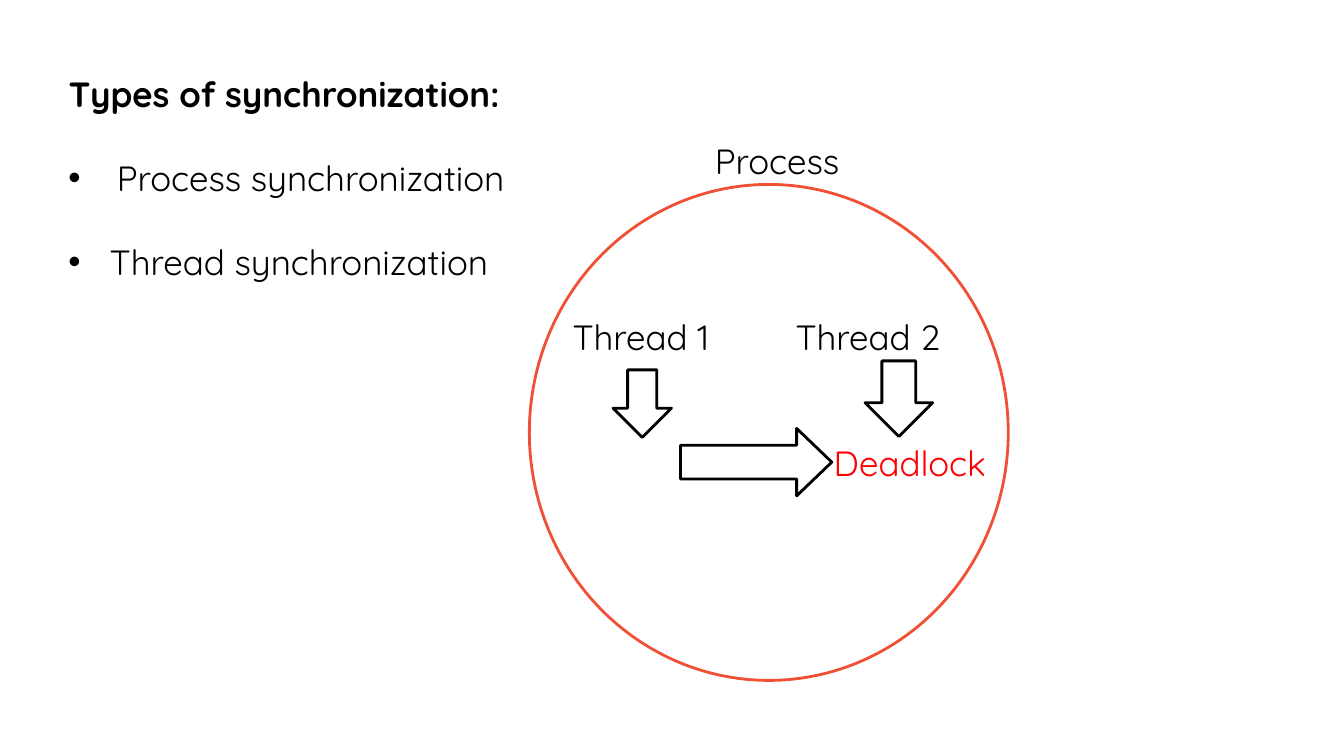
from dataclasses import dataclass

from lxml.etree import SubElement
from pptx import Presentation
from pptx.dml.color import RGBColor
from pptx.enum.shapes import MSO_SHAPE
from pptx.enum.text import MSO_ANCHOR, MSO_AUTO_SIZE, PP_ALIGN
from pptx.oxml.ns import qn
from pptx.slide import Slide
from pptx.text.text import TextFrame, _Paragraph
from pptx.util import Inches, Pt

BLACK = RGBColor(0, 0, 0)
RED = RGBColor(0xFF, 0, 0)
ORANGE = RGBColor(0xF0, 0x51, 0x36)
FONT = "Quicksand"
TEXT_SIZE = Pt(25)
LINE_HEIGHT = 0.52


@dataclass(frozen=True)
class Outline:
    """An unfilled shape, in inches."""
    kind: MSO_SHAPE
    left: float
    top: float
    width: float
    height: float
    color: RGBColor = BLACK


@dataclass(frozen=True)
class Label:
    """A one-line label, in inches."""
    text: str
    left: float
    top: float
    width: float = 2.08
    inset: float = 0.1
    color: RGBColor = BLACK


@dataclass(frozen=True)
class Bullet:
    """A bulleted line with its hanging indent in inches."""
    text: str
    indent: float


TITLE = "Types of synchronization:"
BULLETS = (
    Bullet("Process synchronization", 0.48),
    Bullet("Thread synchronization", 0.41),
)
OUTLINES = (
    Outline(MSO_SHAPE.OVAL, 5.25, 1.83, 4.75, 4.92, ORANGE),
    Outline(MSO_SHAPE.DOWN_ARROW, 6.08, 3.67, 0.58, 0.67),
    Outline(MSO_SHAPE.RIGHT_ARROW, 6.75, 4.25, 1.5, 0.67),
    Outline(MSO_SHAPE.DOWN_ARROW, 8.58, 3.58, 0.67, 0.75),
)
LABELS = (
    Label("Process", 6.25, 1.33, width=3.33, inset=0.84),
    Label("Thread 1", 5.58, 3.08),
    Label("Thread 2", 7.42, 3.08, inset=0.47),
    Label("Deadlock", 8.17, 4.33, color=RED),
)


def style_paragraph(paragraph: _Paragraph, color: RGBColor = BLACK, bold: bool = False) -> None:
    """Apply the slide's common text style."""
    paragraph.alignment = PP_ALIGN.LEFT
    paragraph.font.name = FONT
    paragraph.font.size = TEXT_SIZE
    paragraph.font.bold = bold
    paragraph.font.color.rgb = color


def prepare_frame(frame: TextFrame) -> None:
    """Make a frame wrap and start at its top."""
    frame.word_wrap = True
    frame.auto_size = MSO_AUTO_SIZE.NONE
    frame.vertical_anchor = MSO_ANCHOR.TOP


def add_title(slide: Slide) -> None:
    """Place and format the title."""
    title = slide.shapes.title
    title.left, title.top = Inches(0.58), Inches(0.67)
    title.width, title.height = Inches(12.09), Inches(LINE_HEIGHT)
    prepare_frame(title.text_frame)
    title.text_frame.text = TITLE
    style_paragraph(title.text_frame.paragraphs[0], bold=True)


def add_bullets(slide: Slide) -> None:
    """Add the list of synchronization types."""
    box = slide.shapes.add_textbox(Inches(0.58), Inches(1.5), Inches(12.09), Inches(1.37))
    frame = box.text_frame
    prepare_frame(frame)
    for index, bullet in enumerate(BULLETS):
        paragraph = frame.add_paragraph() if index else frame.paragraphs[0]
        paragraph.text = bullet.text
        if index:
            paragraph.space_before = Pt(30)
        properties = paragraph._p.get_or_add_pPr()
        properties.set("marL", str(Inches(bullet.indent)))
        properties.set("indent", str(-Inches(bullet.indent)))
        SubElement(properties, qn("a:buFont"), typeface="Arial")
        SubElement(properties, qn("a:buChar"), char="•")
        style_paragraph(paragraph)


def add_outline(slide: Slide, outline: Outline) -> None:
    """Add an unfilled shape."""
    shape = slide.shapes.add_shape(
        outline.kind, Inches(outline.left), Inches(outline.top),
        Inches(outline.width), Inches(outline.height),
    )
    shape.shadow.inherit = False
    shape.fill.background()
    shape.line.color.rgb = outline.color
    shape.line.width = Pt(2)
    if outline.kind == MSO_SHAPE.RIGHT_ARROW:
        shape.adjustments[1] = 0.52


def add_label(slide: Slide, label: Label) -> None:
    """Add a one-line label."""
    box = slide.shapes.add_textbox(
        Inches(label.left), Inches(label.top), Inches(label.width), Inches(LINE_HEIGHT)
    )
    prepare_frame(box.text_frame)
    box.text_frame.margin_left = Inches(label.inset)
    box.text_frame.text = label.text
    style_paragraph(box.text_frame.paragraphs[0], label.color)


def main() -> None:
    """Build and save the slide."""
    presentation = Presentation()
    presentation.slide_width = Inches(13.33)
    presentation.slide_height = Inches(7.5)
    slide = presentation.slides.add_slide(presentation.slide_layouts[5])
    add_title(slide)
    add_bullets(slide)
    for outline in OUTLINES:
        add_outline(slide, outline)
    for label in LABELS:
        add_label(slide, label)
    presentation.save("out.pptx")


if __name__ == "__main__":
    main()
